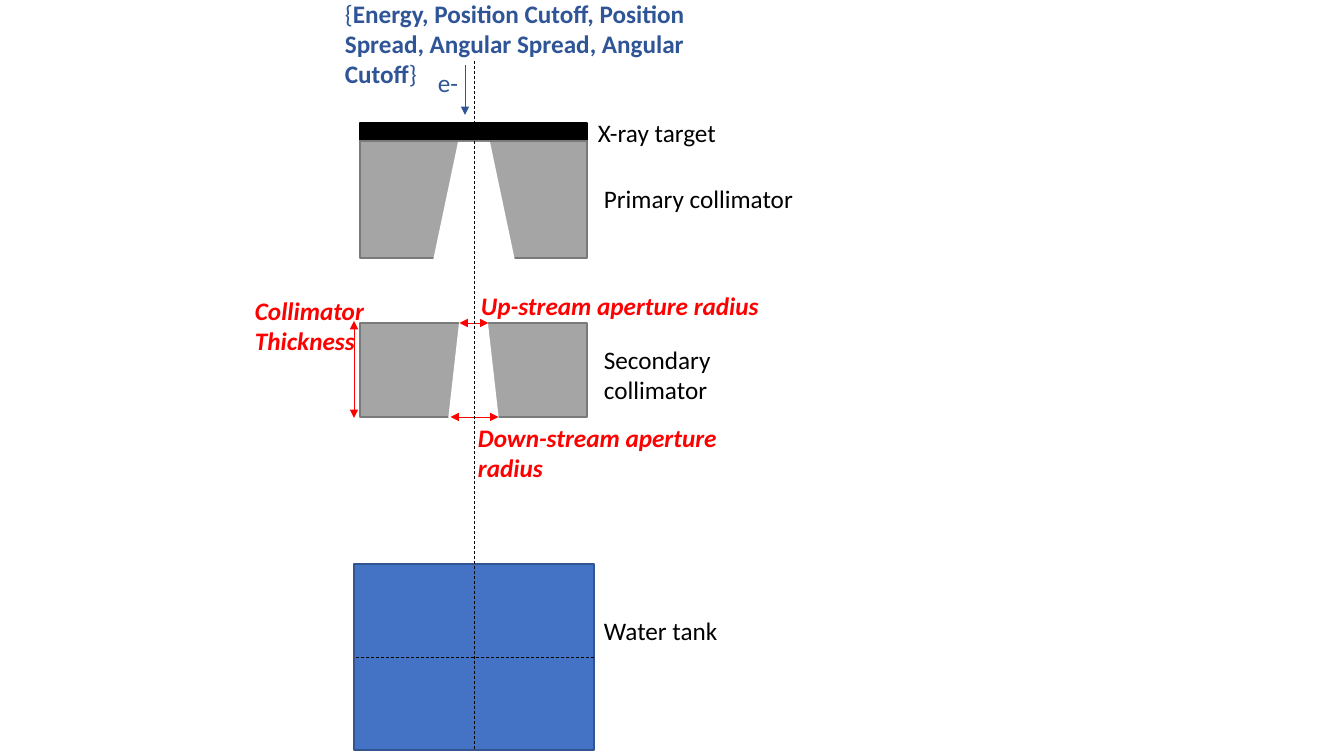
import pptx
import pptx.util
import pptx.dml.color
import pptx.enum.dml
import pptx.enum.shapes
import pptx.enum.text
import lxml.etree
import pptx.oxml.ns

UNIT = 914400 / 100.8
HUES = {"ink": "000000", "paper": "FFFFFF", "metal": "A5A5A5", "rim": "7A7A7A",
        "water": "4472C4", "edge": "325491", "beam": "2F5597", "mark": "FF0000"}
KINDS = pptx.enum.shapes.MSO_SHAPE


def px(size):
    """Turn pixels into EMU."""
    return pptx.util.Emu(round(size * UNIT))


def rgb(hue):
    """Look up a colour by name."""
    return pptx.dml.color.RGBColor.from_string(HUES[hue])


def paint(shape, fill, line=None):
    """Set a plain fill and an optional 1 pt outline."""
    shape.shadow.inherit = False
    shape.fill.solid()
    shape.fill.fore_color.rgb = rgb(fill)
    if line:
        shape.line.color.rgb = rgb(line)
        shape.line.width = pptx.util.Pt(1)
    else:
        shape.line.fill.background()


def block(slide, box, fill, line=None, kind=KINDS.RECTANGLE):
    """Add a preset shape filling the box."""
    paint(slide.shapes.add_shape(kind, *map(px, box)), fill, line)


def rule(slide, start, end, hue="ink", heads=(), dash=False):
    """Add a thin line, dashed or with arrowheads."""
    link = slide.shapes.add_connector(pptx.enum.shapes.MSO_CONNECTOR.STRAIGHT,
                                      *map(px, (*start, *end)))
    link.line.color.rgb = rgb(hue)
    link.line.width = pptx.util.Pt(0.5)
    if dash:
        link.line.dash_style = pptx.enum.dml.MSO_LINE.DASH
    props = link._element.spPr
    line = props.find(pptx.oxml.ns.qn("a:ln"))
    for head in heads:
        lxml.etree.SubElement(line, pptx.oxml.ns.qn("a:" + head), type="triangle")
    lxml.etree.SubElement(props, pptx.oxml.ns.qn("a:effectLst"))


def label(slide, box, runs, hue="ink", slant=False):
    """Add wrapped 18 pt text from (words, bold) runs."""
    frame = slide.shapes.add_textbox(*map(px, box)).text_frame
    frame.word_wrap = True
    frame.auto_size = pptx.enum.text.MSO_AUTO_SIZE.SHAPE_TO_FIT_TEXT
    for words, bold in runs:
        run = frame.paragraphs[0].add_run()
        run.text = words
        font = run.font
        font.name, font.size = "Calibri", pptx.util.Pt(18)
        font.bold, font.italic = bold, slant
        font.color.rgb = rgb(hue)


def name(slide, left, top, words, high=40):
    """Name a part in black."""
    label(slide, (left, top, 210, high), [(words, False)])


def note(slide, box, words):
    """Name a measure in red bold italics."""
    label(slide, box, [(words, True)], "mark", True)


def source(slide, box):
    """Draw the electron beam and its settings."""
    x, y, w, h = box
    label(slide, box, [
        ("{", False),
        ("Energy, Position Cutoff, Position Spread, Angular Spread, Angular Cutoff", True),
        ("}", False)], "beam")
    label(slide, (x + 93, y + 69, 50, 40), [("e-", False)], "beam")
    rule(slide, (x + 130, y + 72), (x + 130, y + 122), "beam", ["tailEnd"])


def primary(slide, box):
    """Draw the target, primary collimator and its opening."""
    x, y, w, h = box
    mid = x + w / 2
    block(slide, (x, y, w, 17), "ink", "ink")
    block(slide, (x, y + 18, w, h - 18), "metal", "rim")
    top, low = y + 19, y + 285
    pen = slide.shapes.build_freeform(mid - 16, top, scale=UNIT)
    pen.add_line_segments([(mid + 16, top), (mid + 72, low), (mid - 72, low)])
    paint(pen.convert_to_shape(), "paper")
    name(slide, x + w + 1, y - 11, "X-ray target")
    name(slide, x + w + 7, y + 55, "Primary collimator")


def second(slide, box):
    """Draw the secondary collimator with its measures."""
    x, y, w, h = box
    mid, low = x + w / 2, y + h
    block(slide, box, "metal", "rim")
    block(slide, (mid - 46.5, y - 128, 93, 411), "paper", kind=KINDS.ISOSCELES_TRIANGLE)
    name(slide, x + w + 7, y + 16, "Secondary collimator", 72)
    for start, end in (((mid - 14, y), (mid + 15, y)),
                       ((mid - 23, low), (mid + 25, low)),
                       ((x - 6, y - 2), (x - 6, low + 1))):
        rule(slide, start, end, "mark", ["headEnd", "tailEnd"])
    note(slide, (x + 111, y - 38, 306, 40), "Up-stream aperture radius")
    note(slide, (x + 108, low, 306, 72), "Down-stream aperture radius")
    note(slide, (x - 115, y - 33, 133, 72), "Collimator Thickness")


def tank(slide, box):
    """Draw the water tank and its middle line."""
    x, y, w, h = box
    mid = y + h / 2
    block(slide, box, "water", "edge")
    rule(slide, (x + w, mid), (x, mid), dash=True)
    name(slide, x + w, y + 46, "Water tank")


def main():
    """Build and save the slide."""
    deck = pptx.Presentation()
    deck.slide_width, deck.slide_height = px(1344), px(756)
    slide = deck.slides.add_slide(deck.slide_layouts[6])
    primary(slide, (360, 123, 227, 135))
    second(slide, (360, 323, 227, 94))
    tank(slide, (354, 564, 240, 186))
    rule(slide, (474, 61), (474, 750), dash=True)
    source(slide, (335, -7, 422, 102))
    deck.save("out.pptx")


main()
